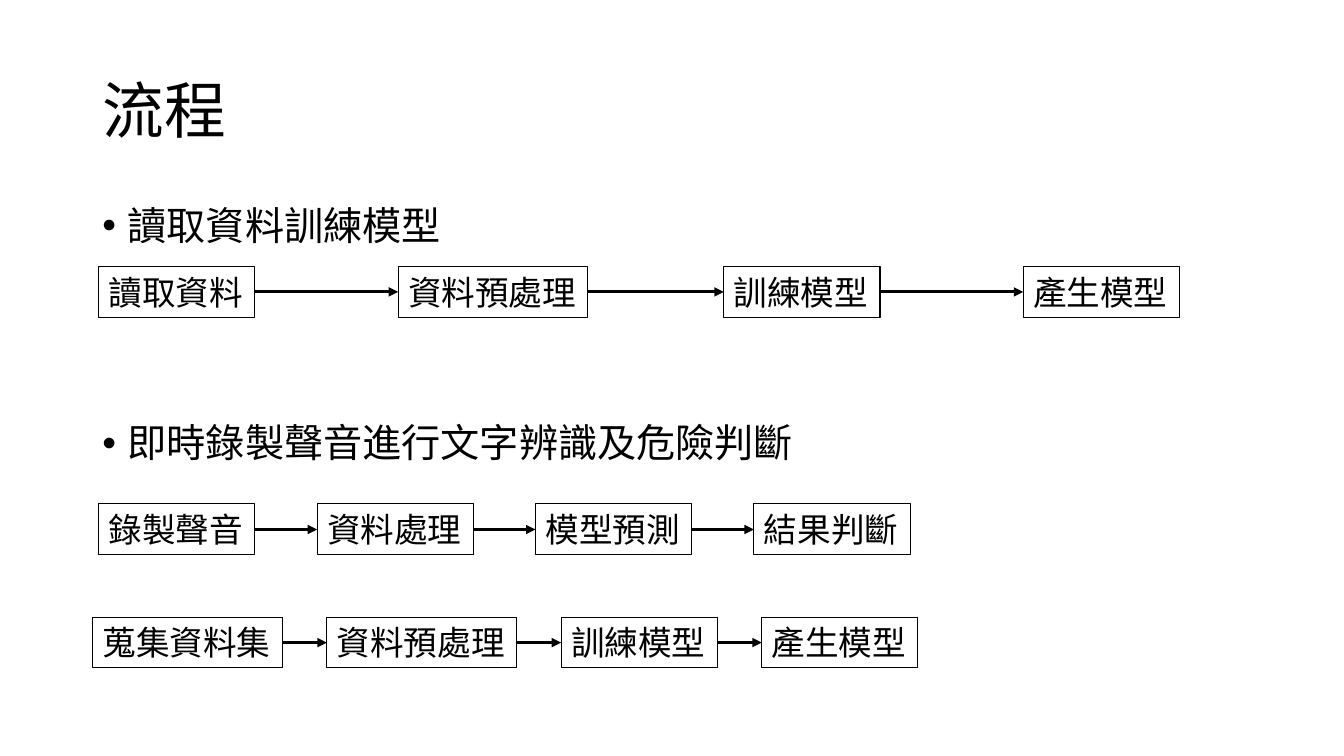
from lxml import etree
from pptx import Presentation
from pptx.dml.color import RGBColor
from pptx.enum.shapes import MSO_CONNECTOR
from pptx.enum.text import MSO_ANCHOR, MSO_AUTO_SIZE, PP_ALIGN
from pptx.oxml.ns import qn
from pptx.util import Pt

STRAIGHT = MSO_CONNECTOR.STRAIGHT
LEFT = PP_ALIGN.LEFT
TOP, MIDDLE = MSO_ANCHOR.TOP, MSO_ANCHOR.MIDDLE
FIXED_SIZE = MSO_AUTO_SIZE.NONE

FONT = "Noto Sans CJK SC"
INK = "000000"
STEP_SIZE = 24
STEP_PADDING = 15.6
STEP_HEIGHT = 36.4
LEFT_SITE, RIGHT_SITE = 1, 3

TITLE = "流程"
BULLETS = [("讀取資料訓練模型", 10), ("即時錄製聲音進行文字辨識及危險判斷", 125)]

# Each flow: left, top, gaps between steps, step names
FLOWS = [
    (70.5, 190.3, (102.3, 97, 102.3), ("讀取資料", "資料預處理", "訓練模型", "產生模型")),
    (70.5, 360, (44.4,) * 3, ("錄製聲音", "資料處理", "模型預測", "結果判斷")),
    (66.2, 440.8, (31.7,) * 3, ("蒐集資料集", "資料預處理", "訓練模型", "產生模型")),
]


def color(value):
    """Turn a hex string into a colour."""
    return RGBColor.from_string(value)


def write(para, text, size, line_spacing=1.0, space_before=0):
    """Write one left-aligned span of text into a paragraph."""
    para.alignment = LEFT
    para.line_spacing = line_spacing
    para.space_before = Pt(space_before)
    span = para.add_run()
    span.text = text
    span.font.name = FONT
    span.font.size = Pt(size)
    span.font.color.rgb = color(INK)
    east_asian = etree.SubElement(span.font._element, qn("a:ea"))
    east_asian.set("typeface", FONT)


def place(box, left, top, width, height, anchor):
    """Move a placeholder and return its text frame."""
    box.left, box.top = Pt(left), Pt(top)
    box.width, box.height = Pt(width), Pt(height)
    frame = box.text_frame
    frame.word_wrap = True
    frame.auto_size = FIXED_SIZE
    frame.vertical_anchor = anchor
    return frame


def add_title(page):
    """Fill the title placeholder."""
    frame = place(page.shapes.title, 66, 28.8, 828, 104.4, MIDDLE)
    write(frame.paragraphs[0], TITLE, 44, line_spacing=0.9)


def add_bullets(page):
    """Fill the body placeholder, leaving room for the flow below each bullet."""
    frame = place(page.placeholders[1], 66, 143.8, 828, 342.6, TOP)
    for index, (text, space_before) in enumerate(BULLETS):
        para = frame.add_paragraph() if index else frame.paragraphs[0]
        write(para, text, 28, line_spacing=0.9, space_before=space_before)
        properties = para._p.get_or_add_pPr()
        properties.set("marL", str(Pt(18)))
        properties.set("indent", str(Pt(-18)))


def add_step(page, text, left, top, width):
    """Draw one outlined step."""
    box = page.shapes.add_textbox(Pt(left), Pt(top), Pt(width), Pt(STEP_HEIGHT))
    box.line.color.rgb = color(INK)
    box.line.width = Pt(0.75)
    frame = box.text_frame
    frame.word_wrap = False
    frame.auto_size = FIXED_SIZE
    frame.vertical_anchor = MIDDLE
    write(frame.paragraphs[0], text, STEP_SIZE)
    return box


def add_arrow(page, source, target):
    """Join two steps with an arrow."""
    arrow = page.shapes.add_connector(STRAIGHT, 0, 0, 0, 0)
    arrow.begin_connect(source, RIGHT_SITE)
    arrow.end_connect(target, LEFT_SITE)
    arrow.line.color.rgb = color(INK)
    arrow.line.width = Pt(2.25)
    etree.SubElement(arrow.line._get_or_add_ln(), qn("a:tailEnd")).set("type", "triangle")
    etree.SubElement(arrow._element.spPr, qn("a:effectLst"))


def add_flow(page, left, top, gaps, names):
    """Draw a row of steps, each as wide as its text, joined by arrows."""
    previous = None
    for name, gap in zip(names, (*gaps, 0)):
        width = STEP_SIZE * len(name) + STEP_PADDING
        step = add_step(page, name, left, top, width)
        if previous is not None:
            add_arrow(page, previous, step)
        previous = step
        left += width + gap


def main():
    """Build the slide and save it."""
    deck = Presentation()
    deck.slide_width, deck.slide_height = Pt(960), Pt(540)
    page = deck.slides.add_slide(deck.slide_layouts[1])
    add_title(page)
    add_bullets(page)
    for flow in FLOWS:
        add_flow(page, *flow)
    deck.save("out.pptx")


if __name__ == "__main__":
    main()
